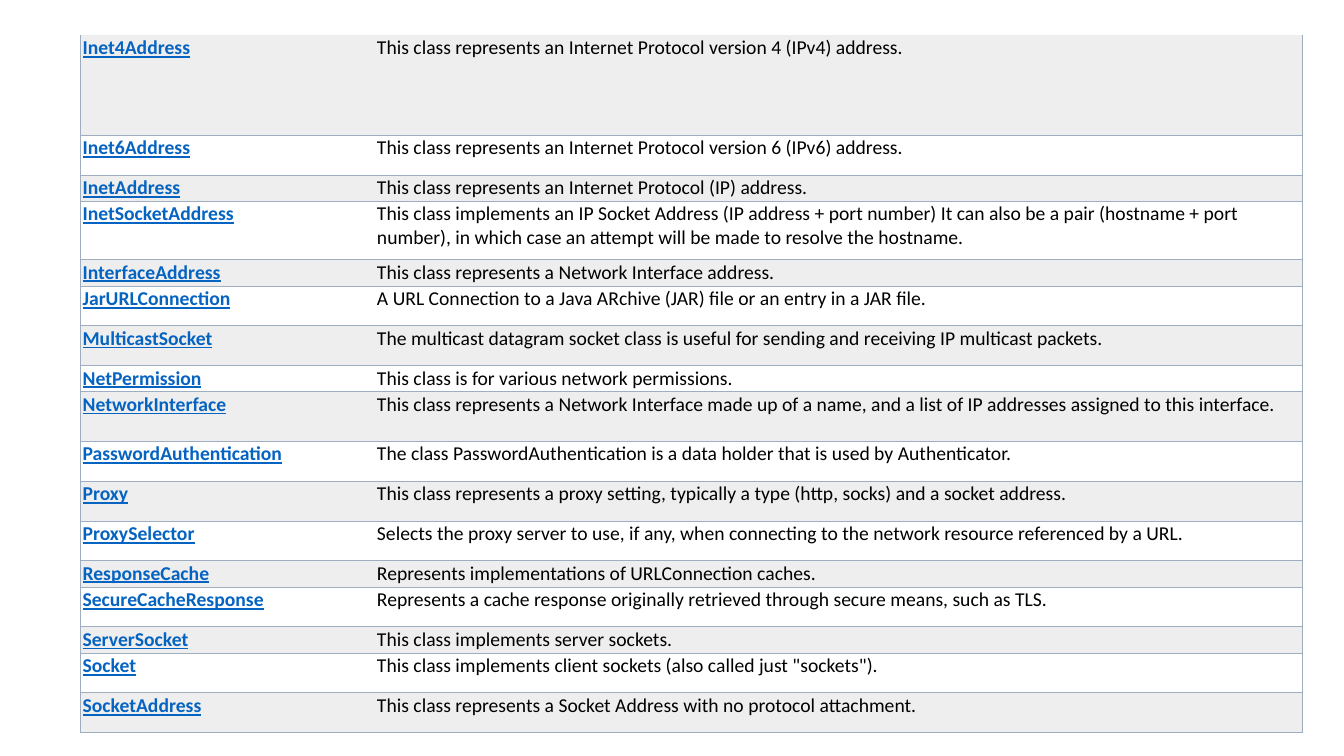
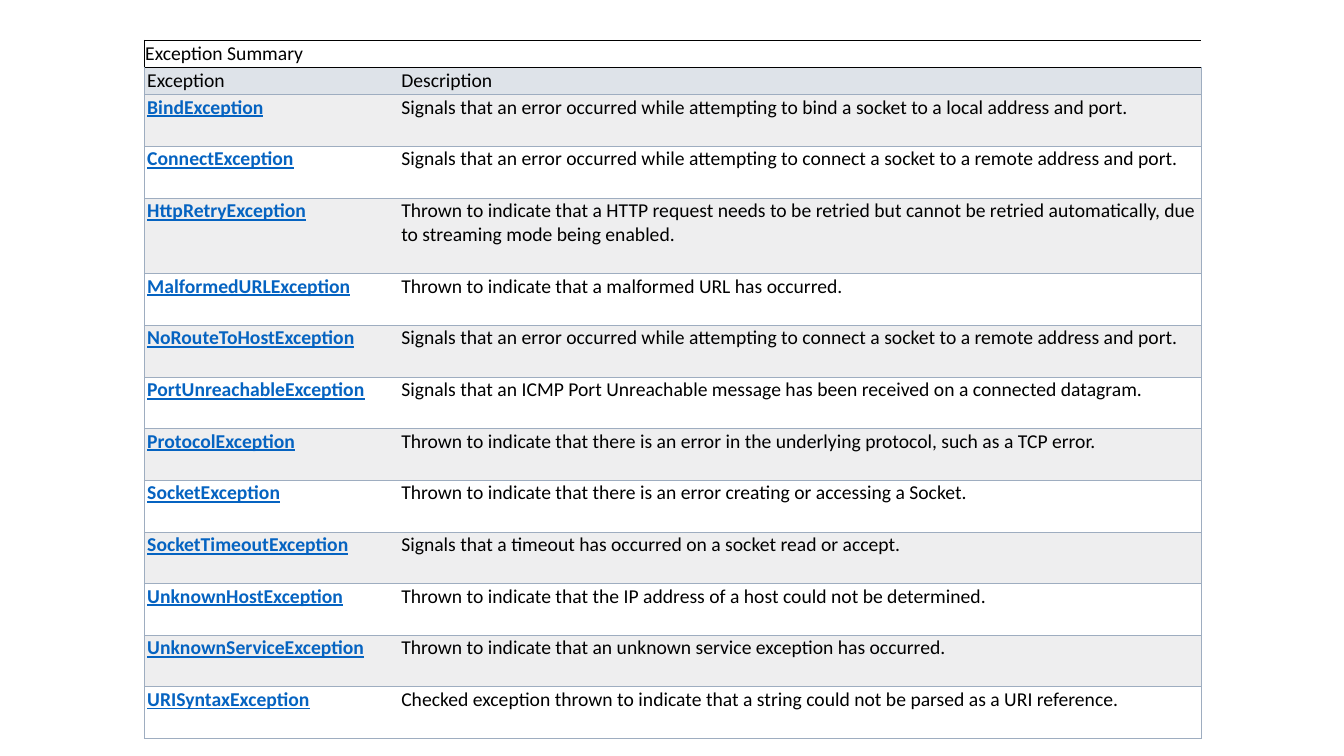
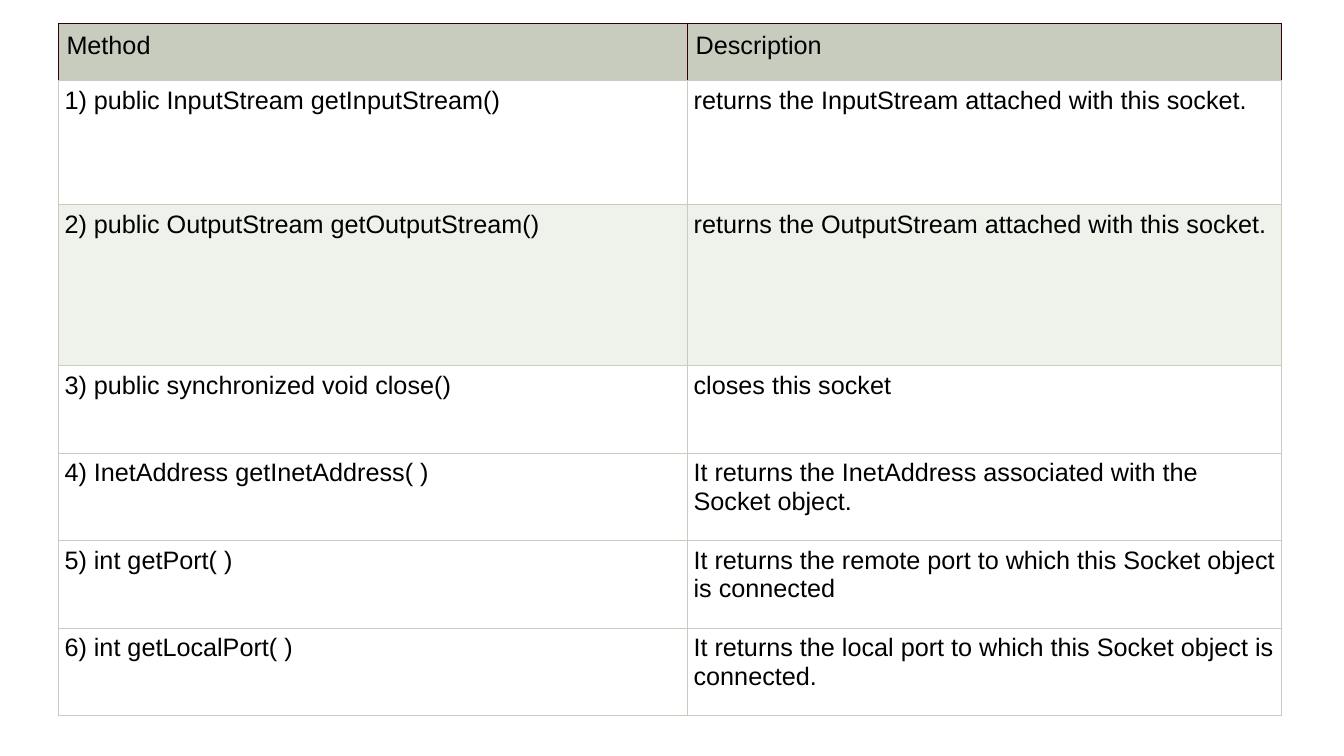
from itertools import cycle, islice

from lxml import etree
from pptx import Presentation
from pptx import util as u
from pptx.dml import color
from pptx.enum import text
from pptx.oxml import ns

HUES = {"ink": "000000", "link": "0563C1", "white": "FFFFFF", "band": "EEEEEF",
        "head": "DEE3E9", "rule": "9EADC0", "sage": "C7CCBE", "mist": "EFF1EB",
        "wine": "300006"}
PLAIN = "{2D5ABB26-0587-4C30-8999-92F81FD0307C}"


class Deck:
    def __init__(self, wide, high):
        self.show = Presentation()
        self.show.slide_width = u.Inches(wide)
        self.show.slide_height = u.Inches(high)

    def page(self, font, size, rule):
        self.font, self.size, self.rule = font, size, rule
        self.slide = self.show.slides.add_slide(self.show.slide_layouts[6])

    def across(self, part):
        return int(self.show.slide_width * part / 100)

    def down(self, part):
        return int(self.show.slide_height * part / 100)

    def share(self, total, parts):
        return [int(total * part / sum(parts)) for part in parts]

    def table(self, box, cols, rows, data):
        left, top, wide, high = box
        frame = self.slide.shapes.add_table(
            len(rows), len(cols), self.across(left), self.down(top),
            self.across(wide), self.down(high))
        grid = frame.table
        grid.first_row = grid.horz_banding = False
        grid._tbl.tblPr.find(ns.qn("a:tableStyleId")).text = PLAIN
        for col, size in zip(grid.columns, self.share(self.across(wide), cols)):
            col.width = size
        for row, size in zip(grid.rows, self.share(self.down(high), rows)):
            row.height = size
        for r, words in enumerate(data):
            if len(words) < len(cols):
                grid.cell(r, 0).merge(grid.cell(r, len(cols) - 1))
            for c, word in enumerate(words):
                self.label(grid.cell(r, c), word)
        return grid

    def label(self, cell, word):
        run = cell.text_frame.paragraphs[0].add_run()
        run.text = word
        run.font.name, run.font.size = self.font, u.Pt(self.size)
        self.tint(run, "ink")

    def tint(self, run, hue):
        run.font.color.rgb = color.RGBColor.from_string(HUES[hue])

    def link(self, cell):
        run = cell.text_frame.paragraphs[0].runs[0]
        run.font.bold = run.font.underline = True
        self.tint(run, "link")

    def inset(self, cell, side, rest):
        cell.margin_left = u.Inches(side)
        cell.margin_right = cell.margin_top = cell.margin_bottom = u.Inches(rest)

    def edge(self, cell, hues):
        props = cell._tc.get_or_add_tcPr()
        for side in "LRTB":
            line = etree.SubElement(props, ns.qn("a:ln" + side))
            hue = hues.get(side)
            if hue:
                line.set("w", str(u.Pt(0.5)))
                fill = etree.SubElement(line, ns.qn("a:solidFill"))
                etree.SubElement(fill, ns.qn("a:srgbClr")).set("val", HUES[hue])
            else:
                etree.SubElement(line, ns.qn("a:noFill"))

    def dress(self, grid, fills, side, rest, tops={}, heads={}, inner=False):
        last = len(grid.columns) - 1
        for r, fill in enumerate(fills):
            for c in range(last + 1):
                cell = grid.cell(r, c)
                hue = heads.get(r, self.rule)
                hues = {"T": tops.get(r, self.rule), "B": tops.get(r + 1, self.rule)}
                if c == 0 or inner:
                    hues["L"] = hue
                if c == last or inner:
                    hues["R"] = hue
                self.edge(cell, hues)
                self.inset(cell, side, rest)
                cell.fill.solid()
                cell.fill.fore_color.rgb = color.RGBColor.from_string(HUES[fill])


def bands(count):
    return list(islice(cycle(["band", "white"]), count))


CLASSES = [
    ("Inet4Address", "This class represents an Internet Protocol version 4 (IPv4) address."),
    ("Inet6Address", "This class represents an Internet Protocol version 6 (IPv6) address."),
    ("InetAddress", "This class represents an Internet Protocol (IP) address."),
    ("InetSocketAddress",
     "This class implements an IP Socket Address (IP address + port number) It can also be "
     "a pair (hostname + port number), in which case an attempt will be made to resolve "
     "the hostname."),
    ("InterfaceAddress", "This class represents a Network Interface address."),
    ("JarURLConnection",
     "A URL Connection to a Java ARchive (JAR) file or an entry in a JAR file."),
    ("MulticastSocket",
     "The multicast datagram socket class is useful for sending and receiving IP "
     "multicast packets."),
    ("NetPermission", "This class is for various network permissions."),
    ("NetworkInterface",
     "This class represents a Network Interface made up of a name, and a list of IP "
     "addresses assigned to this interface."),
    ("PasswordAuthentication",
     "The class PasswordAuthentication is a data holder that is used by Authenticator."),
    ("Proxy",
     "This class represents a proxy setting, typically a type (http, socks) and a socket "
     "address."),
    ("ProxySelector",
     "Selects the proxy server to use, if any, when connecting to the network resource "
     "referenced by a URL."),
    ("ResponseCache", "Represents implementations of URLConnection caches."),
    ("SecureCacheResponse",
     "Represents a cache response originally retrieved through secure means, such as TLS."),
    ("ServerSocket", "This class implements server sockets."),
    ("Socket", 'This class implements client sockets (also called just "sockets").'),
    ("SocketAddress", "This class represents a Socket Address with no protocol attachment."),
]

REMOTE = ("Signals that an error occurred while attempting to connect a socket to a remote "
          "address and port.")
ERRORS = [
    ("Exception Summary",),
    ("Exception", "Description"),
    ("BindException",
     "Signals that an error occurred while attempting to bind a socket to a local address "
     "and port."),
    ("ConnectException", REMOTE),
    ("HttpRetryException",
     "Thrown to indicate that a HTTP request needs to be retried but cannot be retried "
     "automatically, due to streaming mode being enabled."),
    ("MalformedURLException", "Thrown to indicate that a malformed URL has occurred."),
    ("NoRouteToHostException", REMOTE),
    ("PortUnreachableException",
     "Signals that an ICMP Port Unreachable message has been received on a connected "
     "datagram."),
    ("ProtocolException",
     "Thrown to indicate that there is an error in the underlying protocol, such as a TCP "
     "error."),
    ("SocketException",
     "Thrown to indicate that there is an error creating or accessing a Socket."),
    ("SocketTimeoutException",
     "Signals that a timeout has occurred on a socket read or accept."),
    ("UnknownHostException",
     "Thrown to indicate that the IP address of a host could not be determined."),
    ("UnknownServiceException",
     "Thrown to indicate that an unknown service exception has occurred."),
    ("URISyntaxException",
     "Checked exception thrown to indicate that a string could not be parsed as a URI "
     "reference."),
]

METHODS = [
    ("Method", "Description"),
    ("1) public InputStream getInputStream()",
     "returns the InputStream attached with this socket."),
    ("2) public OutputStream getOutputStream()",
     "returns the OutputStream attached with this socket."),
    ("3) public synchronized void close()", "closes this socket"),
    ("4) InetAddress getInetAddress( )",
     "It returns the InetAddress associated with the Socket object."),
    ("5) int getPort( )",
     "It returns the remote port to which this Socket object is connected"),
    ("6) int getLocalPort( )",
     "It returns the local port to which this Socket object is connected."),
]

deck = Deck(13.33, 7.5)

deck.page("Calibri", 14, "rule")
low, mid = 26, 39.5
rows = [99, mid, low, 58, low, mid, mid, low, 49, mid, mid, mid, low, mid, low, mid, mid]
grid = deck.table((6, 4.67, 90.92, 92.27), [2.92, 9.2], rows, CLASSES)
deck.dress(grid, bands(len(rows)), 0.02, 0.01, tops={0: None})
for r in range(len(rows)):
    deck.link(grid.cell(r, 0))

deck.page("Calibri", 14, "rule")
rows = [27, 27] + [51.3] * 12
rows[4] = 75.3
grid = deck.table((10.73, 5.33, 78.62, 92.4), [2.52, 7.96], rows, ERRORS)
deck.dress(grid, ["white", "head"] + bands(12), 0.03, 0.01,
           tops={0: "ink", 1: "ink"}, heads={0: "ink"})
title = grid.cell(0, 0)
deck.inset(title, 0.01, 0.01)
title.vertical_anchor = text.MSO_ANCHOR.MIDDLE
for r in range(2, len(rows)):
    deck.link(grid.cell(r, 0))

deck.page("Arial", 18, "sage")
rows = [57, 123, 160] + [87] * 4
grid = deck.table((4.35, 3.07, 91, 91.6), [6.24, 5.89], rows, METHODS)
deck.dress(grid, ["sage", "white", "mist"] + ["white"] * 4, 0.06, 0.06,
           tops={0: "wine"}, heads={0: "wine"}, inner=True)
for c in range(2):
    deck.inset(grid.cell(0, c), 0.08, 0.08)

deck.show.save("out.pptx")
